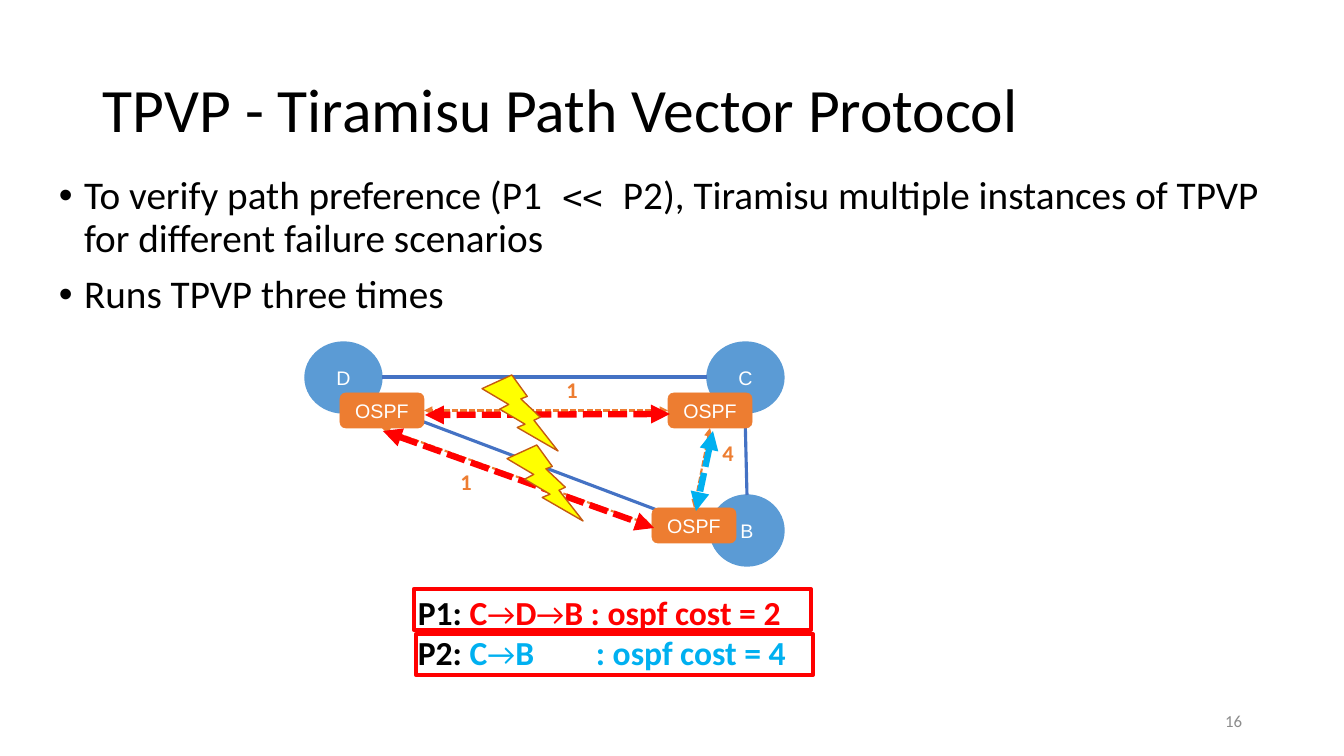
from lxml import etree
from pptx import Presentation
from pptx.dml.color import RGBColor
from pptx.enum.dml import MSO_LINE
from pptx.enum.shapes import MSO_CONNECTOR, MSO_SHAPE
from pptx.enum.text import MSO_ANCHOR, PP_ALIGN
from pptx.oxml.ns import qn
from pptx.util import Emu, Pt

OVAL = MSO_SHAPE.OVAL
RECT = MSO_SHAPE.RECTANGLE
ROUND_RECT = MSO_SHAPE.ROUNDED_RECTANGLE
BOLT = MSO_SHAPE.LIGHTNING_BOLT
STRAIGHT = MSO_CONNECTOR.STRAIGHT
DASH = MSO_LINE.SQUARE_DOT
TOP, MIDDLE = MSO_ANCHOR.TOP, MSO_ANCHOR.MIDDLE
LEFT, CENTER, RIGHT = PP_ALIGN.LEFT, PP_ALIGN.CENTER, PP_ALIGN.RIGHT

SLIDE_W, SLIDE_H = 1344, 756
EMU_PER_PX = 12192000 / SLIDE_W
COLORS = {
    "black": "000000", "white": "FFFFFF", "gray": "8C8C8C",
    "node": "5B9BD5", "link": "4472C4", "ospf": "ED7D31",
    "red": "FF0000", "cyan": "00B0F0", "bolt": "FFFF00", "bolt_edge": "C55A11",
}
INSETS = ("margin_left", "margin_top", "margin_right", "margin_bottom")


def px(n):
    return Emu(round(n * EMU_PER_PX))


def rgb(name):
    return RGBColor.from_string(COLORS[name])


def apply(obj, values):
    for key, value in values.items():
        setattr(obj, key, value)


def add_run(p, text, color, size, font="Calibri", bold=False):
    r = p.add_run()
    r.text = text
    apply(r.font, {"name": font, "size": Pt(size), "bold": bold})
    r.font.color.rgb = rgb(color)


def add_bullet(p):
    pPr = p._p.get_or_add_pPr()
    pPr.set("marL", "228600")
    pPr.set("indent", "-228600")
    etree.SubElement(pPr, qn("a:buFont")).set("typeface", "Arial")
    etree.SubElement(pPr, qn("a:buChar")).set("char", "•")


def add_tab(p, pos):
    tabs = etree.SubElement(p._p.get_or_add_pPr(), qn("a:tabLst"))
    tab = etree.SubElement(tabs, qn("a:tab"))
    tab.set("pos", str(px(pos)))
    tab.set("algn", "l")


def fill_text(tf, paragraphs, anchor=TOP, align=LEFT, spacing=None, before=0,
              inset=None, bullets=False, tab=None):
    apply(tf, {"word_wrap": True, "vertical_anchor": anchor})
    if inset is not None:
        apply(tf, dict.fromkeys(INSETS, px(inset)))
    for i, runs in enumerate(paragraphs):
        p = tf.add_paragraph() if i else tf.paragraphs[0]
        if bullets:
            add_bullet(p)
        if tab:
            add_tab(p, tab)
        apply(p, {"alignment": align, "line_spacing": spacing,
                  "space_before": Pt(before if i else 0)})
        for run in runs:
            add_run(p, *run)


def add_text(s, box, paragraphs, **layout):
    sp = s.shapes.add_textbox(*map(px, box))
    fill_text(sp.text_frame, paragraphs, **layout)


def add_shape(s, kind, box, fill, line, width, text=None):
    sp = s.shapes.add_shape(kind, *map(px, box))
    sp.shadow.inherit = False
    if fill:
        sp.fill.solid()
        sp.fill.fore_color.rgb = rgb(fill)
    else:
        sp.fill.background()
    sp.line.color.rgb = rgb(line)
    sp.line.width = Pt(width)
    if text:
        fill_text(sp.text_frame, [[(text, "white", 14, "Arial")]],
                  anchor=MIDDLE, align=CENTER, inset=0)
    return sp


def add_line(s, ends, color, width):
    cx = s.shapes.add_connector(STRAIGHT, *map(px, ends))
    cx.line.color.rgb = rgb(color)
    cx.line.width = Pt(width)
    etree.SubElement(cx._element.spPr, qn("a:effectLst"))
    return cx


def add_arrow(s, ends, color, width):
    cx = add_line(s, ends, color, width)
    cx.line.dash_style = DASH
    for tag in ("a:headEnd", "a:tailEnd"):
        etree.SubElement(cx.line._get_or_add_ln(), qn(tag)).set("type", "triangle")
    return cx


def add_network(s):
    for name, box in (("B", (710, 495, 74, 71)), ("C", (707, 342, 77, 71)),
                      ("D", (305, 342, 77, 71))):
        add_shape(s, OVAL, box, "node", "node", 1, name)
    for ends in ((745, 412, 747, 495), (382, 377, 707, 377), (371, 402, 710, 530)):
        add_line(s, ends, "link", 2.25)

    ospf = {}
    for name, x, y in (("B", 652, 508), ("C", 668, 393), ("D", 340, 393)):
        ospf[name] = add_shape(s, ROUND_RECT, (x, y, 84, 35), "ospf", "ospf", 0.5, "OSPF")
    for start, start_site, end, end_site in (("C", 1, "D", 3), ("C", 2, "B", 0),
                                             ("D", 2, "B", 1)):
        cx = add_arrow(s, (0, 0, 0, 0), "ospf", 1.5)
        cx.begin_connect(ospf[start], start_site)
        cx.end_connect(ospf[end], end_site)

    for cost, x, y in (("1", 448, 468), ("4", 710, 439), ("1", 554, 376)):
        add_text(s, (x, y, 36, 27), [[(cost, "ospf", 16, "Calibri", True)]],
                 align=CENTER, inset=0)


def add_paths(s):
    for ends, color in (((670, 414, 425, 415), "red"), ((713, 431, 696, 511), "cyan"),
                        ((383, 431, 654, 528), "red")):
        add_arrow(s, ends, color, 4.5)
    for x, y in ((482, 375), (507, 445)):
        add_shape(s, BOLT, (x, y, 76, 76), "bolt", "bolt_edge", 1)


def add_costs(s):
    def bold(text, color):
        return text, color, 24, "Calibri", True

    def hop(color):
        return "→", color, 22

    add_text(s, (408, 587, 444, 132), [
        [bold("P1: ", "black"), bold("C", "red"), hop("red"), bold("D", "red"),
         hop("red"), bold("B : ospf cost = 2", "red")],
        [bold("P2: ", "black"), bold("C", "cyan"), hop("cyan"),
         bold("B\t: ospf cost = 4", "cyan")],
    ], tab=178)
    for x, y in ((414, 589), (416, 634)):
        add_shape(s, RECT, (x, y, 397, 41), None, "red", 3)


def main():
    prs = Presentation()
    apply(prs, {"slide_width": px(SLIDE_W), "slide_height": px(SLIDE_H)})
    s = prs.slides.add_slide(prs.slide_layouts[6])
    add_text(s, (93, 40, 1159, 146),
             [[("TPVP - Tiramisu Path Vector Protocol", "black", 44)]],
             anchor=MIDDLE, spacing=0.9)
    add_text(s, (49, 171, 1271, 355), [
        [("To verify path preference (P1", "black", 28),
         (" << ", "black", 24, "DejaVu Sans Mono"),
         ("P2), Tiramisu multiple instances of TPVP for different failure scenarios",
          "black", 28)],
        [("Runs TPVP three times", "black", 28)],
    ], spacing=0.9, before=10, bullets=True)
    add_text(s, (950, 701, 302, 40), [[("16", "gray", 12)]], anchor=MIDDLE, align=RIGHT)
    add_network(s)
    add_paths(s)
    add_costs(s)
    prs.save("out.pptx")


if __name__ == "__main__":
    main()
